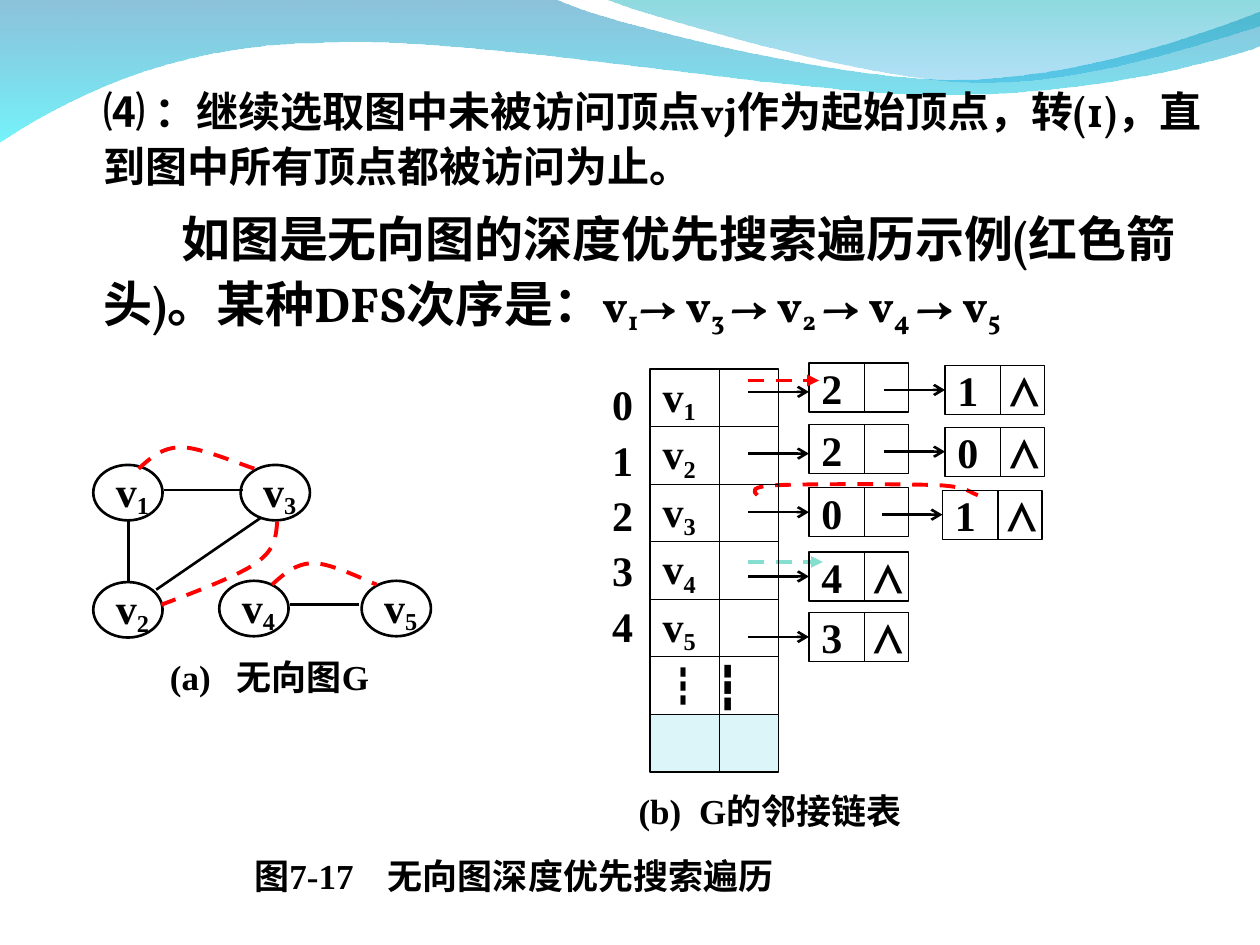
"""Builds the slide on depth-first traversal of an undirected graph."""
from lxml import etree
from pptx import Presentation
from pptx import util as u
from pptx.dml.color import RGBColor
from pptx.enum import dml, lang, shapes, text
from pptx.oxml import ns

SERIF, BODY, CJK = "Times New Roman", "Vollkorn", "Noto Sans CJK SC"
BLACK, RED, TEAL, PALE = "000000", "FF0000", "85DFD0", "DBF5F9"


def color(value):
    """Return the colour for a hex string."""
    return RGBColor.from_string(value)


def add_xml(parent, tag, **attributes):
    """Append a DrawingML element to a parent."""
    return etree.SubElement(parent, ns.qn(tag), attributes)


def write(paragraph, content, size=24, font=SERIF, asian=None, baseline=0):
    """Add a bold black run to a paragraph."""
    run = paragraph.add_run()
    run.text = content
    run.font.size, run.font.bold, run.font.name = u.Pt(size), True, font
    run.font.color.rgb = color(BLACK)
    run.font.language_id = lang.MSO_LANGUAGE_ID.SIMPLIFIED_CHINESE
    properties = run._r.get_or_add_rPr()
    if baseline:
        properties.set("baseline", str(baseline * 1000))
    add_xml(properties, "a:ea", typeface=asian or font)


class GraphSlide:
    """Holds the style and the current slide."""

    def __init__(self, slide):
        self.slide = slide
        self.thin, self.medium, self.thick = u.Pt(0.75), u.Pt(1.5), u.Pt(2.25)

    def style_line(self, line, value, width, dashed=False):
        """Set colour, width and dash of a line."""
        line.color.rgb, line.width = color(value), width
        if dashed:
            line.dash_style = dml.MSO_LINE.DASH

    def set_text(self, shape, runs, tab=None, wrap=False):
        """Fill a shape with one left-aligned line of runs."""
        frame = shape.text_frame
        frame.word_wrap, frame.vertical_anchor = wrap, text.MSO_ANCHOR.MIDDLE
        paragraph = frame.paragraphs[0]
        paragraph.alignment = text.PP_ALIGN.LEFT
        if tab:
            stops = add_xml(paragraph._p.get_or_add_pPr(), "a:tabLst")
            add_xml(stops, "a:tab", pos=str(u.Inches(tab)), algn="l")
        for content, options in runs:
            write(paragraph, content, **options)

    def shape(self, kind, box, width, runs=(), fill=None, tab=None):
        """Add an outlined preset shape with text."""
        shape = self.slide.shapes.add_shape(kind, *map(u.Inches, box))
        shape.shadow.inherit = False
        if fill:
            shape.fill.solid()
            shape.fill.fore_color.rgb = color(fill)
        else:
            shape.fill.background()
        self.style_line(shape.line, BLACK, width)
        self.set_text(shape, runs, tab)
        return shape

    def rectangle(self, box, divider, **options):
        """Add a rectangle split by a vertical line."""
        left, top, _, height = box
        shape = self.shape(shapes.MSO_SHAPE.RECTANGLE, box, self.thin, **options)
        self.line((left + divider, top), (left + divider, top + height), self.thin)
        return shape

    def line(self, start, end, width, value=BLACK, dashed=False, head=None, target=None):
        """Add a straight connector, joined to the left of a target if given."""
        connector = self.slide.shapes.add_connector(
            shapes.MSO_CONNECTOR.STRAIGHT, *map(u.Inches, start + end))
        if target is not None:
            connector.end_connect(target, 1)
        self.style_line(connector.line, value, width, dashed)
        if head:
            add_xml(connector.line._get_or_add_ln(), "a:tailEnd", type=head)
        add_xml(connector._element.spPr, "a:effectLst")

    def outline(self, start, pieces, close=False):
        """Add a freeform of straight (2 numbers) and cubic (6 numbers) pieces."""
        points = [(u.Inches(piece[i]), u.Inches(piece[i + 1]))
                  for piece in pieces for i in range(0, len(piece), 2)]
        builder = self.slide.shapes.build_freeform(*map(u.Inches, start))
        builder.add_line_segments(points, close=close)
        shape = builder.convert_to_shape()
        shape.shadow.inherit = False
        segments = iter(list(shape._element.spPr.iter(ns.qn("a:lnTo"))))
        for piece in pieces:
            group = [next(segments) for _ in range(len(piece) // 2)]
            if len(group) == 3:
                cubic = etree.Element(ns.qn("a:cubicBezTo"))
                group[0].addprevious(cubic)
                for segment in group:
                    cubic.append(segment[0])
                    segment.getparent().remove(segment)
        return shape

    def trail(self, start, *pieces):
        """Add a dashed red curve."""
        shape = self.outline(start, pieces)
        shape.fill.background()
        self.style_line(shape.line, RED, self.thick, dashed=True)

    def wave(self, stops, start, *pieces):
        """Add a translucent wave with a downward gradient."""
        shape = self.outline(start, pieces, close=True)
        shape.line.fill.background()
        shape.fill.gradient()
        shape.fill.gradient_angle = 270
        for stop, (value, _) in zip(shape.fill.gradient_stops, stops):
            stop.color.rgb = color(value)
        for element, (_, alpha) in zip(shape._element.spPr.iter(ns.qn("a:srgbClr")), stops):
            add_xml(element, "a:alpha", val=str(alpha * 1000))

    def caption(self, box, content, tab):
        """Add a caption whose number and name are split by a tab."""
        shape = self.slide.shapes.add_textbox(*map(u.Inches, box))
        self.set_text(shape, [(content, {"size": 20, "asian": CJK})], tab, wrap=True)

    def indices(self, box, count):
        """Add a column of row numbers."""
        frame = self.slide.shapes.add_textbox(*map(u.Inches, box)).text_frame
        frame.word_wrap, frame.vertical_anchor = False, text.MSO_ANCHOR.MIDDLE
        for index in range(count):
            paragraph = frame.add_paragraph() if index else frame.paragraphs[0]
            paragraph.line_spacing = 1.1
            write(paragraph, str(index))

    def body(self, box, paragraphs):
        """Add the body text from (first-line indent, runs) pairs."""
        frame = self.slide.shapes.add_textbox(*map(u.Inches, box)).text_frame
        frame.word_wrap = True
        for index, (indent, runs) in enumerate(paragraphs):
            paragraph = frame.add_paragraph() if index else frame.paragraphs[0]
            paragraph.line_spacing = 1.1
            paragraph.space_before = u.Pt(6.5 if index else 0)
            properties = paragraph._p.get_or_add_pPr()
            properties.set("marL", str(u.Inches(0.58)))
            properties.set("indent", str(u.Inches(indent)))
            for content, options in runs:
                write(paragraph, content, asian=CJK, **options)


def vertex(number, baseline):
    """Return the runs of a vertex name."""
    return [("v", {}), (str(number), {"baseline": baseline})]


def draw_graph(page):
    """Draw the undirected graph and its traversal."""
    for number, (left, top) in enumerate(
            [(0.74, 3.69), (0.74, 4.62), (1.91, 3.69), (1.74, 4.61), (2.87, 4.61)], 1):
        page.shape(shapes.MSO_SHAPE.OVAL, (left, top, 0.55, 0.44), page.medium,
                   vertex(number, -18))
    for start, end in [((1.02, 4.12), (1.02, 4.62)), ((1.24, 4.68), (2.07, 4.11)),
                       ((1.3, 3.89), (1.93, 3.89)), ((2.3, 4.8), (2.85, 4.8))]:
        page.line(start, end, page.medium)
    page.trail((1.1, 3.72), (1.19, 3.64, 1.28, 3.55, 1.44, 3.55),
               (1.59, 3.55, 1.92, 3.69, 2.02, 3.72))
    page.trail((2.2, 4.14), (2.19, 4.25, 2.19, 4.36, 2.03, 4.47),
               (1.88, 4.58, 1.41, 4.75, 1.28, 4.8))
    page.trail((2.16, 4.64), (2.26, 4.55, 2.35, 4.47, 2.49, 4.47),
               (2.63, 4.47, 2.91, 4.61, 2.99, 4.64))


def draw_lists(page):
    """Draw the vertex array and its linked lists."""
    page.trail((6.01, 3.93), (5.98, 3.9, 5.94, 3.86, 6.18, 3.85),
               (6.42, 3.84, 7.17, 3.84, 7.43, 3.85), (7.69, 3.86, 7.71, 3.92, 7.76, 3.93))
    page.line((5.94, 4.46), (6.53, 4.46), page.thick, TEAL, True, "triangle")
    page.indices((4.76, 2.91, 0.39, 2.31), 5)
    rows = [vertex(number, -20) for number in range(1, 6)]
    rows += [[("┇", {"font": CJK}), (" ┇", {})], []]
    pitch = 2.74 / 6
    for index, runs in enumerate(rows):
        page.rectangle((5.16, 2.93 + pitch * index, 1.02, pitch), 0.55, runs=runs,
                       fill=None if runs else PALE)
    for top, arrow, values, second in [
            (2.88, 3.11, "21", 7.5), (3.37, 3.6, "20", 7.5), (3.87, 4.08, "01", 7.48),
            (4.38, 4.58, "4", None), (4.86, 5.04, "3", None)]:
        for index, value in enumerate(values):
            left, node_top = (second, top + 0.02) if index else (6.42, top)
            label = value + "\t⋀" if index == len(values) - 1 else value
            node = page.rectangle((left, node_top, 0.79, 0.39), 0.44,
                                  runs=[(label, {})], tab=0.41)
            middle = node_top + 0.39 / 2
            joined = index or abs(arrow - middle) < 0.02
            height = middle if joined else arrow
            page.line((left - 0.48, height), (left, height), page.medium,
                      head="arrow", target=node if joined else None)
    page.line((5.94, 3.02), (6.5, 3.02), page.thick, RED, True, "triangle")


def main():
    """Build and save the presentation."""
    presentation = Presentation()
    presentation.slide_width, presentation.slide_height = u.Inches(10), u.Inches(7.5)
    page = GraphSlide(presentation.slides.add_slide(presentation.slide_layouts[6]))
    page.wave([("0079AF", 45), ("00EBF8", 55)], (0, -0.01), (4.4, -0.01),
              (4.76, 0.17, 6.64, 0.63, 7.58, 0.63), (8.53, 0.63, 9.58, 0.26, 10, 0.09),
              (10.01, 0.36), (9.83, 0.44, 8.7, 0.76, 7.46, 0.75),
              (6.22, 0.75, 3.82, 0.28, 2.57, 0.34), (1.29, 0.35, 0.46, 0.83, -0.01, 1.13))
    page.wave([("00ADB6", 45), ("009BE5", 30)], (4.79, -0.01),
              (5.09, 0.11, 6.82, 0.62, 7.69, 0.65), (8.56, 0.69, 9.61, 0.32, 10, 0.21),
              (10, 0))
    page.caption((1.92, 6.77, 4.8, 0.35), "图7-17\t无向图深度优先搜索遍历", 1.06)
    page.caption((1.25, 5.19, 2.2, 0.35), "(a)\t无向图G", 0.53)
    page.caption((4.97, 6.26, 2.8, 0.35), "(b)\tG的邻接链表", 0.48)
    draw_graph(page)
    draw_lists(page)
    main_run, order = {"size": 26, "font": BODY}, []
    for name, digit in [("v", "1"), ("→ v", "3 "), ("→ v", "2 "), ("→ v", "4 "), ("→ v", "5")]:
        order += [(name, main_run), (digit, {"baseline": -18, **main_run})]
    page.body((0.14, 0.59, 9.64, 2.36), [
        (0, [("⑷", {"font": CJK}),
             (" ：继续选取图中未被访问顶点vj作为起始顶点，转(1)，直到图中所有顶点都被访问为止。",
              {"font": BODY})]),
        (0.62, [("如图是无向图的深度优先搜索遍历示例(红色箭头)。某种DFS次序是",
                 {"size": 28, "font": BODY}), ("：", {"size": 28, "font": CJK})] + order)])
    presentation.save("out.pptx")


if __name__ == "__main__":
    main()
